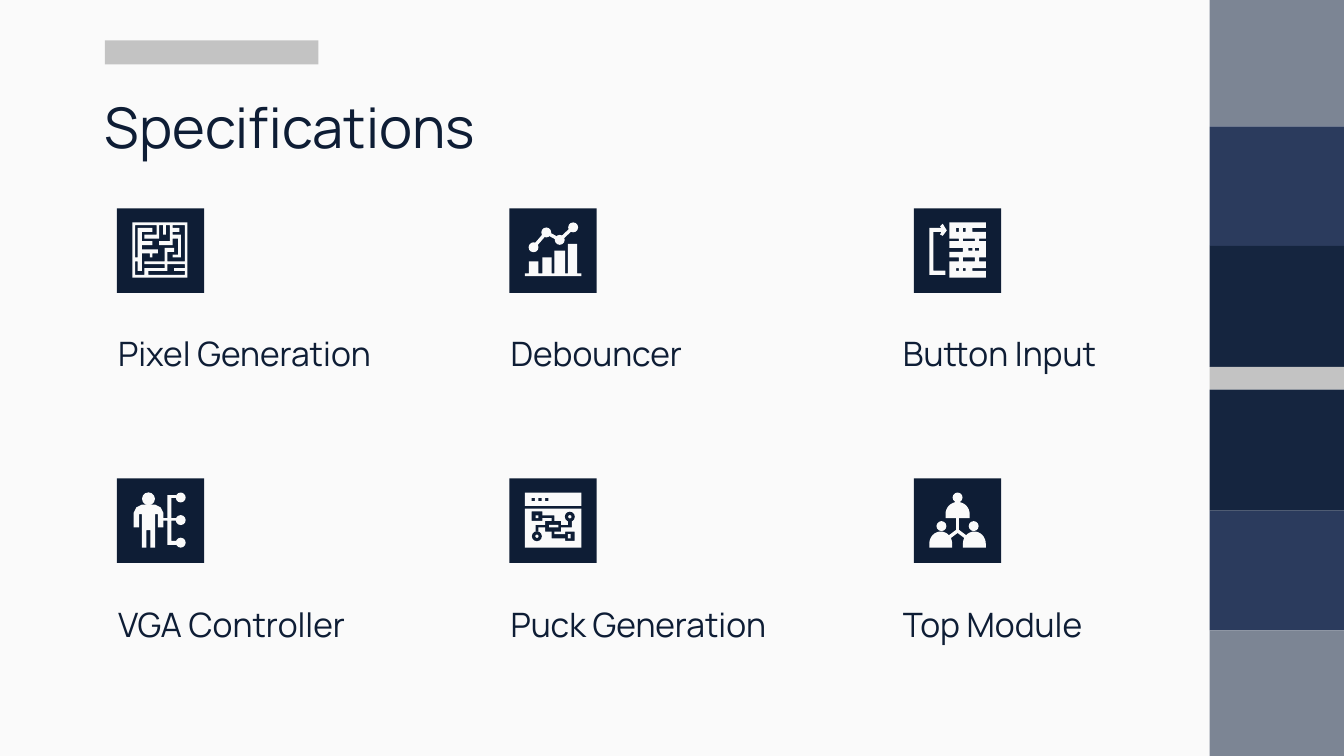
import math
from lxml import etree
from pptx import Presentation
from pptx.dml.color import RGBColor
from pptx.enum.shapes import MSO_CONNECTOR, MSO_SHAPE
from pptx.enum.text import MSO_ANCHOR, MSO_AUTO_SIZE, PP_ALIGN
from pptx.oxml.ns import qn
from pptx.util import Inches, Pt

RECT, OVAL = MSO_SHAPE.RECTANGLE, MSO_SHAPE.OVAL
LINE = MSO_CONNECTOR.STRAIGHT
TOP, BOTTOM = MSO_ANCHOR.TOP, MSO_ANCHOR.BOTTOM
LEFT, NO_FIT = PP_ALIGN.LEFT, MSO_AUTO_SIZE.NONE

PAPER = RGBColor(0xFA, 0xFA, 0xFA)
INK = RGBColor(0x0E, 0x1D, 0x35)
NAVY = RGBColor(0x15, 0x25, 0x3F)
BLUE = RGBColor(0x2B, 0x3B, 0x5D)
SLATE = RGBColor(0x7C, 0x85, 0x94)
GREY = RGBColor(0xC3, 0xC3, 0xC3)

FONT = "Manrope"
UNIT = 0.01  # icons are drawn on a grid of hundredths of an inch
TILE_W, TILE_H = 0.65, 0.63
ICON = 0.42


def paint(shape, color):
    shape.shadow.inherit = False
    shape.fill.solid()
    shape.fill.fore_color.rgb = color
    shape.line.fill.background()


def block(shapes, x, y, w, h, color, kind=RECT):
    shape = shapes.add_shape(kind, Inches(x), Inches(y), Inches(w), Inches(h))
    paint(shape, color)


def style(frame, text, size, anchor):
    frame.text = text
    frame.word_wrap = True
    frame.auto_size = NO_FIT
    frame.vertical_anchor = anchor
    frame.margin_left = frame.margin_right = Inches(0.1)
    frame.margin_top = frame.margin_bottom = Inches(0.1)
    para = frame.paragraphs[0]
    para.alignment = LEFT
    font = para.runs[0].font
    font.name, font.size, font.color.rgb = FONT, Pt(size), INK


# Outlines on the icon grid
def turns(x, y, *steps):
    """Corners of a right-angled outline: steps alternate new y, new x."""
    spots = [(x, y)]
    for i, step in enumerate(steps):
        if i % 2:
            x = step
        else:
            y = step
        spots.append((x, y))
    return spots


def box(x, y, right, low):
    return turns(x, y, low, right, y)


def bust(x, y, w, h):
    arch = [math.pi * i / 16 for i in range(17)]
    curve = [(x + w / 2 * (1 - math.cos(a)), y + 9 * (1 - math.sin(a))) for a in arch]
    return curve + [(x + w, y + h), (x, y + h)]


class Icon:
    """Group of parts on a grid that starts at x, y."""

    def __init__(self, slide, x, y):
        self.shapes = slide.shapes.add_group_shape().shapes
        self.x, self.y = x, y

    def at(self, x, y):
        return Inches(self.x + x * UNIT), Inches(self.y + y * UNIT)

    def form(self, *loops):
        start, *rest = [[self.at(*spot) for spot in loop] for loop in loops]
        pen = self.shapes.build_freeform(*start[0])
        pen.add_line_segments(start[1:], close=True)
        for loop in rest:
            pen.move_to(*loop[0])
            pen.add_line_segments(loop[1:], close=True)
        paint(pen.convert_to_shape(), PAPER)

    def dot(self, x, y, r=3.7, color=PAPER):
        block(self.shapes, self.x + (x - r) * UNIT, self.y + (y - r) * UNIT,
              2 * r * UNIT, 2 * r * UNIT, color, OVAL)

    def link(self, start, end):
        line = self.shapes.add_connector(LINE, *self.at(*start), *self.at(*end))
        line.line.color.rgb = PAPER
        line.line.width = Pt(1.8)
        etree.SubElement(line._element.spPr, qn("a:effectLst"))


def maze(icon):
    icon.form(
        box(0, 0, 41, 41),
        turns(39, 2, 29, 26, 22, 31, 19, 24, 29, 9, 31, 24, 34, 9, 39, 2, 29, 4,
              36, 7, 23, 13, 26, 15, 23, 19, 20, 7, 17, 15, 14, 7, 7, 15, 4, 4,
              26, 2, 2, 18, 9, 9, 12, 20, 2, 23, 9, 25, 2, 28, 14, 20, 17, 30,
              12, 34, 24, 30, 26, 36, 9, 30, 7, 35, 4, 30, 2),
        turns(39, 31, 34, 31, 36, 39, 39, 12, 36, 26, 31))


def chart(icon):
    icon.form(turns(32, 16, 38, 30, 21, 22, 38, 20, 26, 13, 38, 10, 29, 3, 38,
                    0, 40, 42, 38, 39, 16))
    spots = [(6.5, 18.5), (16, 7.5), (26, 13), (36, 3.7)]
    for start, end in zip(spots, spots[1:]):
        icon.link(start, end)
    for spot in spots:
        icon.dot(*spot)


def wall(icon):
    icon.form([(10, 1), (8, 3), (9, 4), (0, 4), (0, 39), (12, 39), (12, 36),
               (3, 36), (3, 7), (9, 7), (8, 9), (10, 10), (13, 6)])
    gaps = [(20, 4, 22, 7), (25, 4, 27, 7), (25, 12, 34, 14), (29, 19, 32, 21),
            (34, 19, 37, 21), (25, 26, 34, 29), (20, 34, 22, 36), (25, 34, 27, 36)]
    icon.form(turns(15, 0, 12, 22, 14, 15, 19, 25, 22, 15, 26, 22, 29, 15, 41,
                    42, 36, 32, 34, 42, 29, 37, 26, 42, 14, 37, 12, 42, 7, 32,
                    4, 42, 0), *[box(*gap) for gap in gaps])


def person(icon):
    icon.x += UNIT
    icon.dot(11, 4.7, 4.8)
    half = [(16, 9), (20, 11), (22, 15), (22, 26), (18, 26), (18, 16), (16, 16),
            (16, 41), (12.5, 41), (12.5, 28)]
    icon.form(half + [(22 - x, y) for x, y in reversed(half)])
    icon.form(turns(25, 2, 19, 22, 21, 25, 39, 32, 36, 28, 21, 32, 19, 28, 4, 32, 2))
    for y in (3.7, 20.5, 37.3):
        icon.dot(35, y)


def window(icon):
    icon.form(box(0, 0, 42, 10), *[box(x, 4, x + 2.5, 6.5) for x in (5, 10, 15)])
    icon.form(
        box(0, 12, 42, 41),
        turns(35, 21, 26, 27, 29, 22, 31, 30, 29, 37, 36, 30, 34, 20, 29, 15, 26,
              10, 29, 8, 24, 15, 21, 20, 19, 13, 21, 5, 14, 13, 17, 22, 21, 27,
              24, 32, 21),
        box(8, 17, 10, 19), box(32, 31, 34, 34), box(18, 24, 25, 26))
    for x, y in ((33.5, 18), (9, 32.5)):
        icon.dot(x, y, 3.7, INK)
        icon.dot(x, y, 1.2)


def team(icon):
    for head, body in (((21, 3.7), (12, 7, 18, 12)), ((9, 25), (0, 29, 17, 12)),
                       ((33, 25), (25, 29, 17, 12))):
        icon.dot(*head)
        icon.form(bust(*body))
    for start, end in (((21, 18), (21, 29)), ((21, 28.5), (15, 33)),
                       ((21, 28.5), (27, 33))):
        icon.link(start, end)


def header(slide, x, y):
    block(slide.shapes, x, y, 1.59, 0.18, GREY)
    title = slide.shapes.title
    title.left, title.top = Inches(x - 0.1), Inches(y + 0.29)
    title.width, title.height = Inches(8.53), Inches(0.63)
    style(title.text_frame, "Specifications", 30, TOP)


def item(slide, x, y, shift, text, draw):
    """Tile with its icon, and the label below it."""
    block(slide.shapes, x, y, TILE_W, TILE_H, INK)
    draw(Icon(slide, x + (TILE_W - ICON) / 2, y + (TILE_H - ICON) / 2))
    label = slide.shapes.add_textbox(Inches(x - shift), Inches(y + 0.85),
                                     Inches(2.75), Inches(0.48))
    style(label.text_frame, text, 18, BOTTOM)


def stripes(slide, x, y, w):
    shapes = slide.shapes.add_group_shape().shapes
    bands = [(0.94, SLATE), (0.89, BLUE), (0.9, NAVY)]
    for h, color in bands + [(0.17, GREY)] + bands[::-1]:
        block(shapes, x, y, w, h, color)
        y += h


def main():
    deck = Presentation()
    deck.slide_width = Inches(10)
    deck.slide_height = deck.slide_width * 9 // 16
    slide = deck.slides.add_slide(deck.slide_layouts[5])
    slide.background.fill.solid()
    slide.background.fill.fore_color.rgb = PAPER

    header(slide, 0.78, 0.3)
    columns = [(0.87, 0.09), (3.79, 0.09), (6.8, 0.18)]
    rows = [
        (1.55, [("Pixel Generation", maze), ("Debouncer", chart),
                ("Button Input", wall)]),
        (3.56, [("VGA Controller", person), ("Puck Generation", window),
                ("Top Module", team)]),
    ]
    for y, items in rows:
        for (x, shift), (text, draw) in zip(columns, items):
            item(slide, x, y, shift, text, draw)
    stripes(slide, 9, 0, 1)
    deck.save("out.pptx")


if __name__ == "__main__":
    main()
